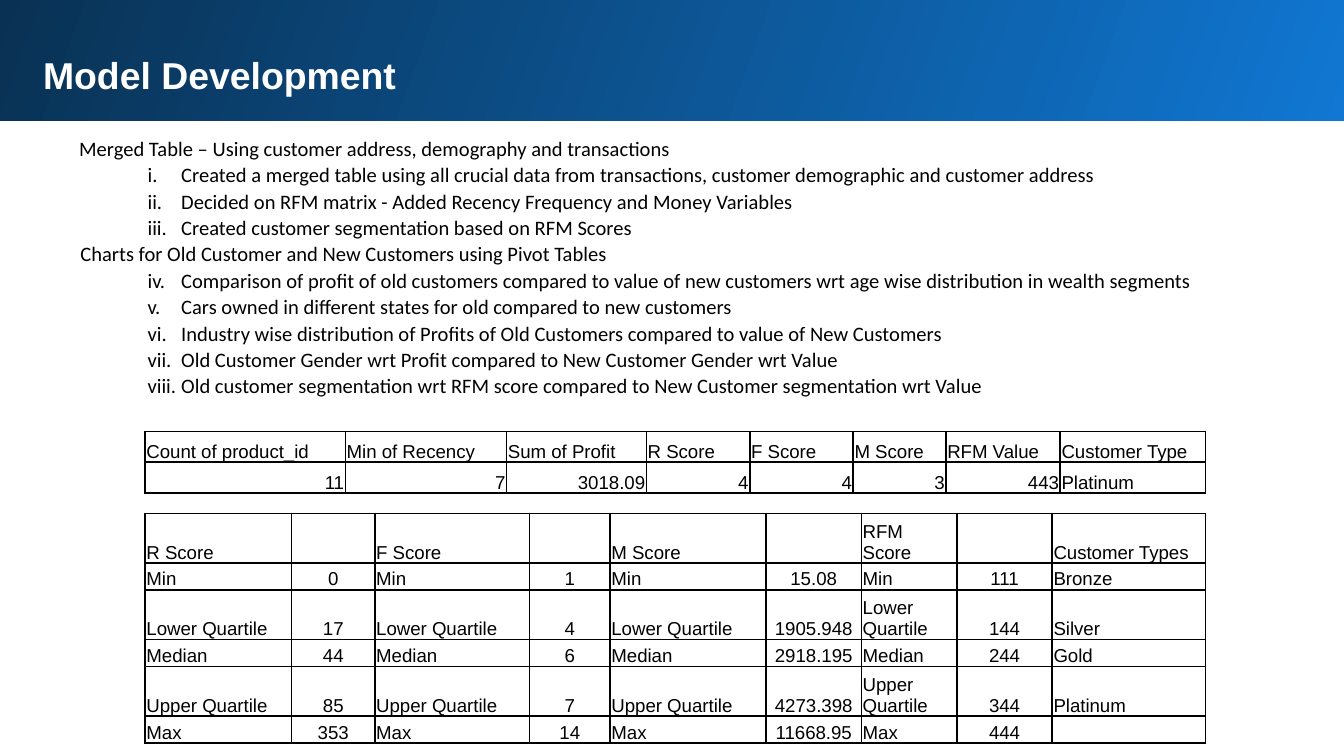
from lxml.etree import SubElement as Sub
from pptx import Presentation
from pptx.dml.color import RGBColor
from pptx.enum.shapes import MSO_SHAPE as Shape
from pptx.enum.text import MSO_ANCHOR as Anchor, PP_ALIGN as Align
from pptx.oxml.ns import qn
from pptx.util import Inches, Pt


def color(code):
    return RGBColor.from_string(code)


def write(para, text, size=10, font="Arial", fill="000000", bold=False,
          align=Align.LEFT, level=0, left=0, hang=0, start=0, space=1.0, after=0):
    para.alignment, para.level = align, level
    para.line_spacing = space
    para.space_before, para.space_after = Pt(0), Pt(after)
    props = para._p.get_or_add_pPr()
    props.set("marL", str(Inches(left)))
    props.set("indent", str(Inches(hang)))
    if start:
        num = Sub(props, qn("a:buAutoNum"), type="romanLcPeriod")
        if start > 1:
            num.set("startAt", str(start))
    else:
        Sub(props, qn("a:buNone"))
    if not text:
        para._p.get_or_add_endParaRPr().set("sz", str(size * 100))
        return
    run = para.add_run()
    run.text = text
    run.font.size, run.font.name, run.font.bold = Pt(size), font, bold
    run.font.color.rgb = color(fill)


# A 16:9 page
deck = Presentation()
deck.slide_width, deck.slide_height = Inches(10), Inches(10 * 9 / 16)
slide = deck.slides.add_slide(deck.slide_layouts[5])
shapes = slide.shapes
title = shapes.title

# Header band, placed behind the title
band = shapes.add_shape(Shape.RECTANGLE, Inches(-0.02), Inches(-0.02),
                        Inches(10.05), Inches(0.92))
band.shadow.inherit = False
band.line.fill.background()
band.fill.gradient()
band.fill.gradient_angle = 160
for stop, code in zip(band.fill.gradient_stops, ("1077D2", "093153")):
    stop.color.rgb = color(code)
title._element.addprevious(band._element)

# Title
title.left, title.top = Inches(0.22), Inches(0.29)
title.width, title.height = Inches(9.37), Inches(0.51)
frame = title.text_frame
frame.vertical_anchor = Anchor.TOP
frame.margin_left = frame.margin_right = Inches(0.1)
frame.margin_top = frame.margin_bottom = Inches(0.1)
write(frame.paragraphs[0], "Model Development", size=20, fill="FFFFFF", bold=True)

# Outline: heading, its level and indent, first number, items
groups = [
    ("Merged Table – Using customer address, demography and transactions", 0, 0.49, 1, [
        "Created a merged table using all crucial data from transactions, "
        "customer demographic and customer address",
        "Decided on RFM matrix - Added Recency Frequency and Money Variables",
        "Created customer segmentation based on RFM Scores"]),
    ("Charts for Old Customer and New Customers using Pivot Tables", 1, 0.5, 4, [
        "Comparison of profit of old customers compared to value of new customers "
        "wrt age wise distribution in wealth segments",
        "Cars owned in different states for old compared to new customers",
        "Industry wise distribution of Profits of Old Customers compared to value of New Customers",
        "Old Customer Gender wrt Profit compared to New Customer Gender wrt Value",
        "Old customer segmentation wrt RFM score compared to New Customer segmentation wrt Value"]),
]
box = shapes.add_textbox(0, Inches(0.9), Inches(10), Inches(2.17))
frame = box.text_frame
frame.word_wrap = True
frame.margin_left = frame.margin_right = Inches(0.1)
frame.margin_top = frame.margin_bottom = Inches(0.1)
body = dict(size=11, font="Calibri", space=1.07)
para = frame.paragraphs[0]
for head, level, left, start, items in groups:
    if para is None:
        para = frame.add_paragraph()
    write(para, head, level=level, left=left, **body)
    for item in items:
        last = item == groups[-1][-1][-1]
        write(frame.add_paragraph(), item, level=2, left=1.25, hang=-0.25,
              start=start, after=8 if last else 0, **body)
    para = None

# Tables: top, column widths, row heights, number alignment, rows
names = ["Min", "Lower Quartile", "Median", "Upper Quartile", "Max"]
scores = [
    ("0", "1", "15.08", "111", "Bronze"),
    ("17", "4", "1905.948", "144", "Silver"),
    ("44", "6", "2918.195", "244", "Gold"),
    ("85", "7", "4273.398", "344", "Platinum"),
    ("353", "14", "11668.95", "444", ""),
]
bounds = [["R Score", "", "F Score", "", "M Score", "", "RFM Score", "", "Customer Types"]]
for name, (r, f, m, rfm, kind) in zip(names, scores):
    bounds.append([name, r, name, f, name, m, name, rfm, kind])
sample = [
    ["Count of product_id", "Min of Recency", "Sum of Profit", "R Score",
     "F Score", "M Score", "RFM Value", "Customer Type"],
    ["11", "7", "3018.09", "4", "4", "3", "443", "Platinum"],
]
tables = [
    (3.82, [1.09, 0.62, 1.15, 0.6, 1.16, 0.71, 0.71, 0.71, 1.14],
     [0.37, 0.2] * 3, Align.CENTER, bounds),
    (3.21, [1.49, 1.2, 1.04, 0.77, 0.77, 0.69, 0.85, 1.08],
     [0.23, 0.23], Align.RIGHT, sample),
]
for top, widths, heights, align, rows in tables:
    table = shapes.add_table(len(rows), len(widths), Inches(1.08), Inches(top),
                             Inches(sum(widths)), Inches(sum(heights))).table
    table.first_row = table.horz_banding = False
    for col, width in zip(table.columns, widths):
        col.width = Inches(width)
    for y, row in enumerate(rows):
        table.rows[y].height = Inches(heights[y])
        for x, text in enumerate(row):
            cell = table.cell(y, x)
            cell.vertical_anchor = Anchor.BOTTOM
            cell.margin_left = cell.margin_right = cell.margin_top = Inches(0.01)
            cell.margin_bottom = 0
            number = text[:1].isdigit()
            write(cell.text_frame.paragraphs[0], text,
                  align=align if number else Align.LEFT)
            # Borders come before the fill in the cell properties
            props = cell._tc.get_or_add_tcPr()
            for side in ("lnL", "lnR", "lnT", "lnB"):
                line = Sub(props, qn("a:" + side), w=str(Pt(1)))
                paint = Sub(line, qn("a:solidFill"))
                Sub(paint, qn("a:srgbClr"), val="000000")
            cell.fill.background()

deck.save("out.pptx")
